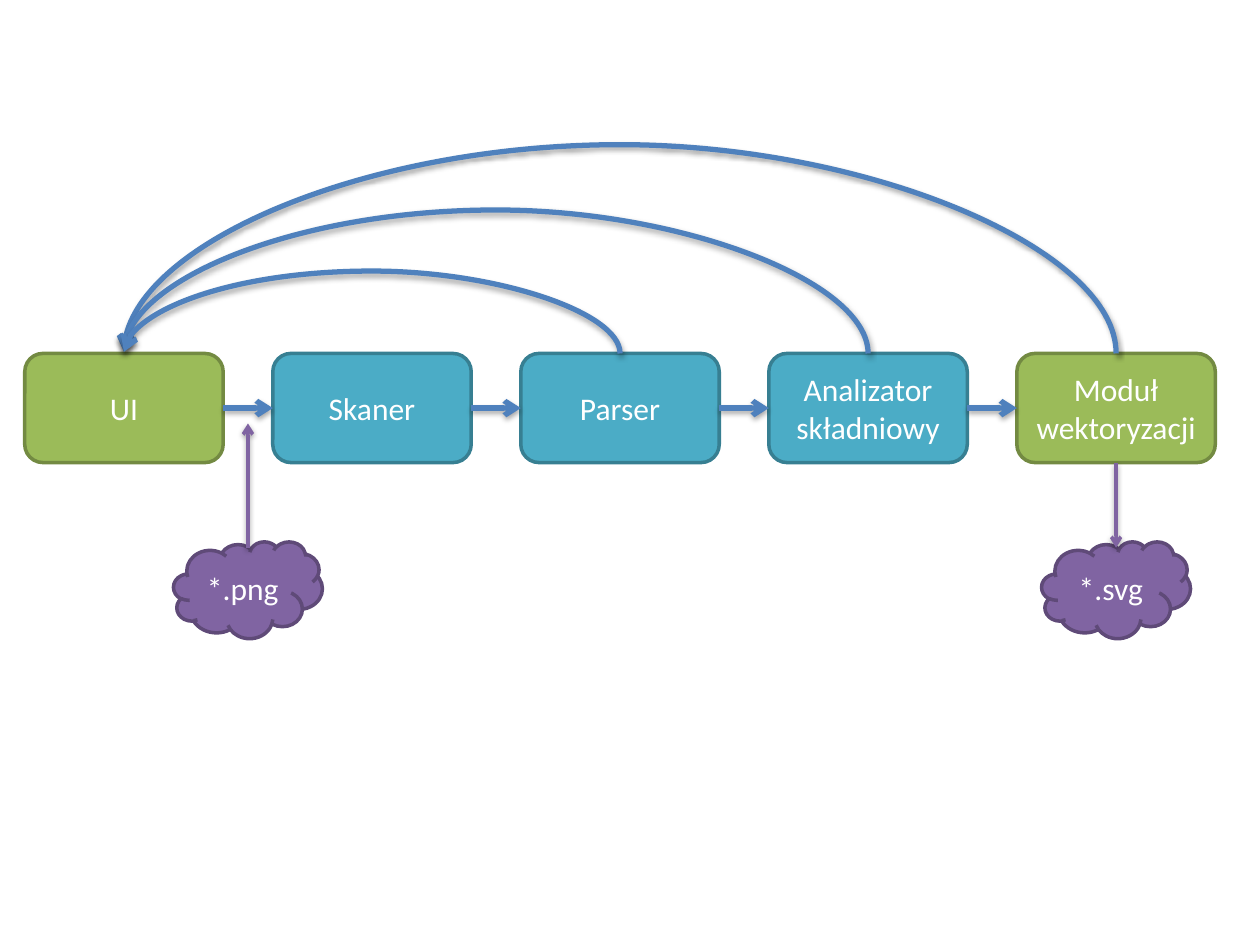
from lxml import etree
from pptx import Presentation, util as u
from pptx.dml.color import RGBColor
from pptx.enum import shapes, text
from pptx.oxml import parse_xml
from pptx.oxml.ns import nsdecls, qn

GREEN, TEAL, PURPLE, BLUE = "9BBB59", "4BACC6", "8064A2", "4F81BD"
EDGES = {GREEN: "738A42", TEAL: "377F92", PURPLE: "5F4A78"}
TOP, LEFT, BOTTOM, RIGHT = range(4)


def rgb(value):
    return RGBColor.from_string(value)


def write(tf, content, size=18, font="Calibri", color="FFFFFF"):
    tf.word_wrap = True
    tf.vertical_anchor = text.MSO_ANCHOR.MIDDLE
    p = tf.paragraphs[0]
    p.alignment = text.PP_ALIGN.CENTER
    r = p.add_run()
    r.text = content
    r.font.size, r.font.name = u.Pt(size), font
    r.font.color.rgb = rgb(color)


class Diagram:
    """Draws styled blocks and arrows on one slide."""

    def __init__(self, slide):
        self.s = slide

    def block(self, kind, x, y, w, h, label, fill):
        sp = self.s.shapes.add_shape(kind, *map(u.Pt, (x, y, w, h)))
        sp.shadow.inherit = False
        sp.fill.solid()
        sp.fill.fore_color.rgb = rgb(fill)
        sp.line.color.rgb = rgb(EDGES[fill])
        sp.line.width = u.Pt(2)
        write(sp.text_frame, label)
        return sp

    def arrow(self, x1, y1, x2, y2, color=BLUE, width=3, distance=1.81,
              opacity=35, kind=shapes.MSO_CONNECTOR.STRAIGHT):
        c = self.s.shapes.add_connector(kind, *map(u.Pt, (x1, y1, x2, y2)))
        c.line.color.rgb = rgb(color)
        c.line.width = u.Pt(width)
        ln = c.line._get_or_add_ln()
        etree.SubElement(ln, qn("a:tailEnd"), type="arrow")
        c._element.spPr.append(parse_xml(
            f'<a:effectLst {nsdecls("a")}><a:outerShdw blurRad="{u.Pt(3.15)}" '
            f'dist="{u.Pt(distance)}" dir="5400000" rotWithShape="0">'
            f'<a:srgbClr val="000000"><a:alpha val="{opacity * 1000}"/></a:srgbClr>'
            '</a:outerShdw></a:effectLst>'))
        return c

    def file_arrow(self, x, y1, y2):
        return self.arrow(x, y1, x, y2, PURPLE, 2, 1.57, 38)

    def arc(self, start, end, rise):
        c = self.arrow(0, 0, 1, 1, kind=shapes.MSO_CONNECTOR.CURVE)
        c.begin_connect(start, TOP)
        c.end_connect(end, TOP)
        span = start.left - end.left
        middle = (start.left + end.left + start.width) // 2
        c.left, c.top = middle - u.Pt(0.5), start.top - u.Pt(0.5) - span // 2
        c.width, c.height = u.Pt(1), span
        xfrm = c._element.spPr.find(qn("a:xfrm"))
        for name, value in (("rot", "16200000"), ("flipH", "0"), ("flipV", "1")):
            xfrm.set(name, value)
        guides = c._element.spPr.find(qn("a:prstGeom")).get_or_add_avLst()
        etree.SubElement(guides, qn("a:gd"), name="adj1",
                         fmla=f"val {round(rise * 100000)}")


prs = Presentation()
prs.slide_width, prs.slide_height = u.Pt(720), u.Pt(540)
d = Diagram(prs.slides.add_slide(prs.slide_layouts[6]))

X, Y, W, H, PITCH = 14.17, 202, 113.39, 62.36, 141.73
CLOUD_W, CLOUD_H, CLOUD_Y = 85.04, 55.3, 309.5
stages = [("UI", GREEN), ("Skaner", TEAL), ("Parser", TEAL),
          ("Analizator składniowy", TEAL), ("Moduł wektoryzacji", GREEN)]
boxes = [d.block(shapes.MSO_SHAPE.ROUNDED_RECTANGLE, X + i * PITCH, Y, W, H, label, fill)
         for i, (label, fill) in enumerate(stages)]

input_x = X + (W + PITCH) / 2
output_x = X + 4 * PITCH + W / 2
for center, label in ((input_x, "*.png"), (output_x, "*.svg")):
    d.block(shapes.MSO_SHAPE.CLOUD, center - CLOUD_W / 2, CLOUD_Y,
            CLOUD_W, CLOUD_H, label, PURPLE)

for before, after in zip(boxes, boxes[1:]):
    link = d.arrow(0, 0, 1, 1)
    link.begin_connect(before, RIGHT)
    link.end_connect(after, LEFT)

d.file_arrow(input_x, 313, 242)
d.file_arrow(output_x, Y + H, 313)

for box, rise in zip(boxes[:1:-1], (120.27, 82.64, 47.46)):
    d.arc(box, boxes[0], rise)

prs.save("out.pptx")
